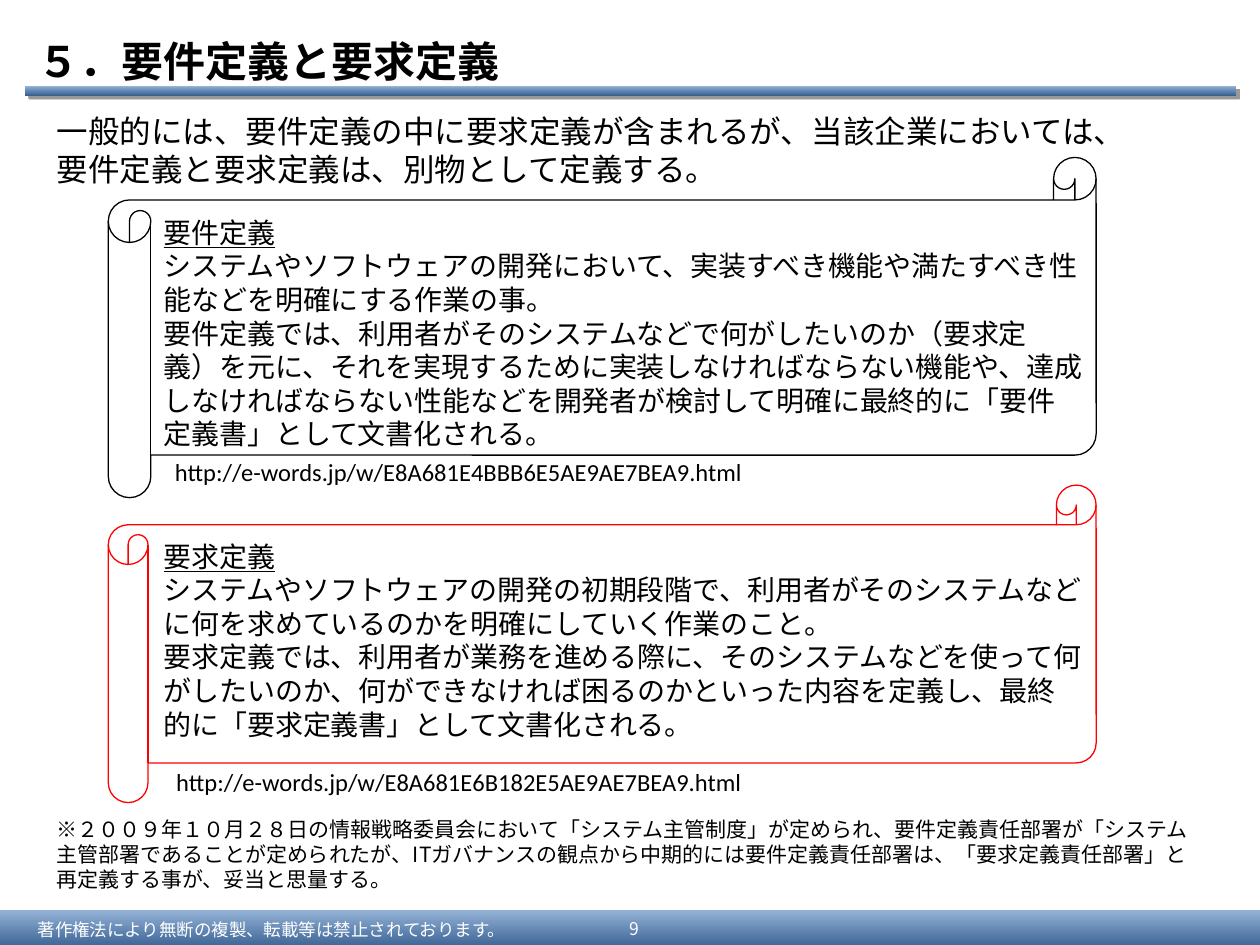
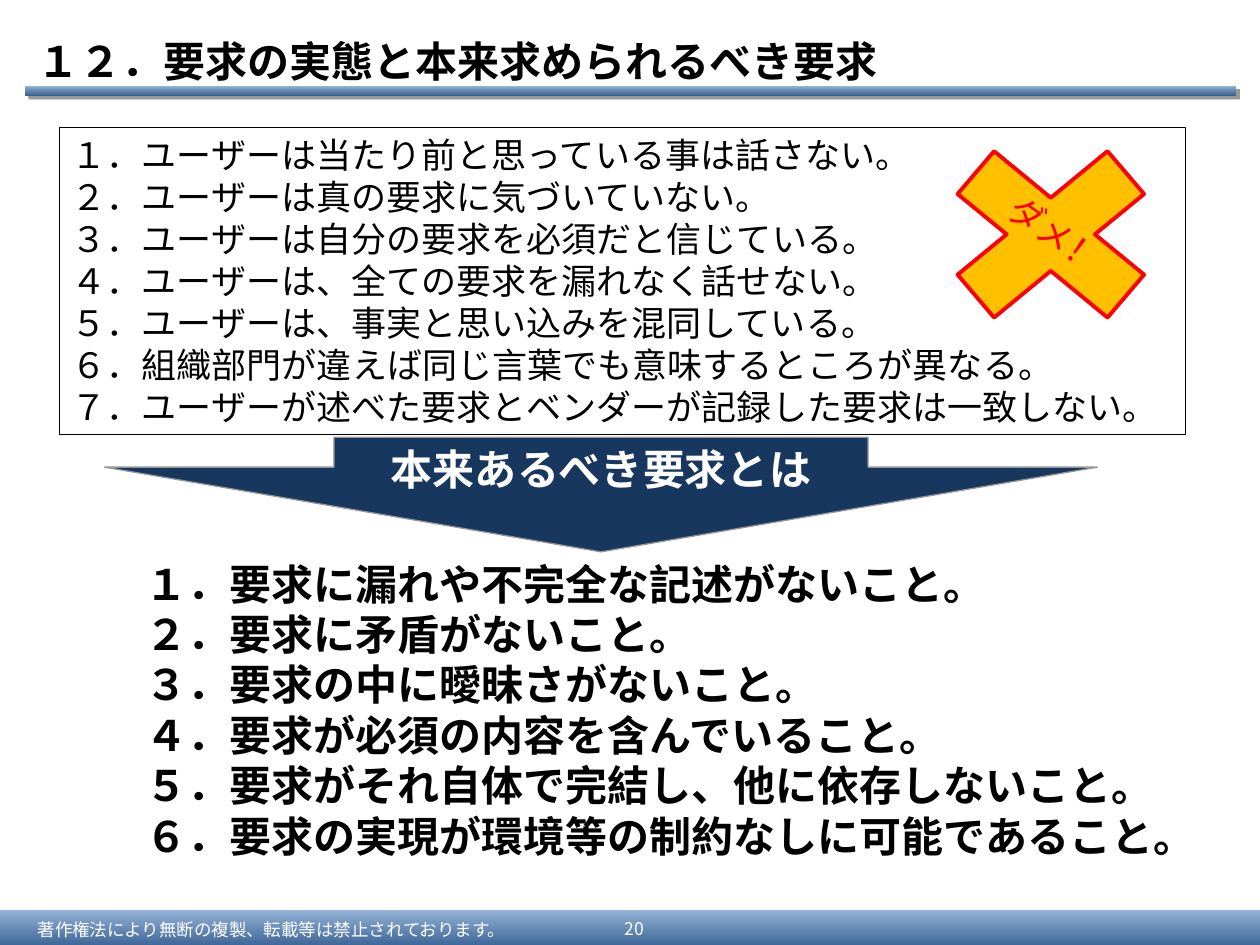
from dataclasses import dataclass

from lxml.etree import SubElement
from pptx import Presentation
from pptx.dml.color import RGBColor
from pptx.enum.shapes import MSO_SHAPE
from pptx.enum.text import MSO_ANCHOR, PP_ALIGN
from pptx.oxml.ns import qn
from pptx.shapes.autoshape import Shape
from pptx.slide import Slide
from pptx.util import Inches, Pt

COLORS = {
    "black": "000000", "white": "FFFFFF", "red": "FF0000", "amber": "FFC000",
    "navy": "17375E", "gray": "969696", "band_dark": "376092", "band_light": "95B3D7",
}
JP_FONT, LATIN_FONT = "Noto Sans CJK JP", "Calibri"
LINE_PITCH = 1.2
COPYRIGHT = "著作権法により無断の複製、転載等は禁止されております。"


@dataclass
class Box:
    left: float
    top: float
    width: float
    height: float

    def emu(self) -> list[int]:
        return [Inches(v) for v in (self.left, self.top, self.width, self.height)]


@dataclass
class Definition:
    scroll: Box
    color: str
    body: Box
    lines: list[str]
    link: Box
    url: str


DEFINITIONS = [
    Definition(
        Box(0.86, 1.25, 7.84, 2.7), "black", Box(1.2, 1.66, 7.5, 1.97),
        ["要件定義",
         "システムやソフトウェアの開発において、実装すべき機能や満たすべき性能などを明確にする作業の事。",
         "要件定義では、利用者がそのシステムなどで何がしたいのか（要求定義）を元に、それを実現するために"
         "実装しなければならない機能や、達成しなければならない性能などを開発者が検討して明確に最終的に"
         "「要件定義書」として文書化される。"],
        Box(1.29, 3.58, 6.7, 0.34), "http://e-words.jp/w/E8A681E4BBB6E5AE9AE7BEA9.html"),
    Definition(
        Box(0.86, 3.85, 7.84, 2.52), "red", Box(1.2, 4.23, 7.5, 1.97),
        ["要求定義",
         "システムやソフトウェアの開発の初期段階で、利用者がそのシステムなどに何を求めているのかを"
         "明確にしていく作業のこと。",
         "要求定義では、利用者が業務を進める際に、そのシステムなどを使って何がしたいのか、何ができなければ"
         "困るのかといった内容を定義し、最終的に「要求定義書」として文書化される。"],
        Box(1.3, 6.04, 6.35, 0.34), "http://e-words.jp/w/E8A681E6B182E5AE9AE7BEA9.html"),
]

USER_REALITIES = [
    "１．ユーザーは当たり前と思っている事は話さない。",
    "２．ユーザーは真の要求に気づいていない。",
    "３．ユーザーは自分の要求を必須だと信じている。",
    "４．ユーザーは、全ての要求を漏れなく話せない。",
    "５．ユーザーは、事実と思い込みを混同している。",
    "６．組織部門が違えば同じ言葉でも意味するところが異なる。",
    "７．ユーザーが述べた要求とベンダーが記録した要求は一致しない。",
]
IDEAL_REQUIREMENTS = [
    "１．要求に漏れや不完全な記述がないこと。",
    "２．要求に矛盾がないこと。",
    "３．要求の中に曖昧さがないこと。",
    "４．要求が必須の内容を含んでいること。",
    "５．要求がそれ自体で完結し、他に依存しないこと。",
    "６．要求の実現が環境等の制約なしに可能であること。",
]


def rgb(name: str) -> RGBColor:
    return RGBColor.from_string(COLORS[name])


def write(sp: Shape, lines: list[str], *, size: float, color: str = "black",
          font: str = JP_FONT, bold: bool = False, head_underline: bool = False,
          align: PP_ALIGN = PP_ALIGN.LEFT, anchor: MSO_ANCHOR = MSO_ANCHOR.TOP,
          inset_x: float = 0.1, inset_y: float = 0.05) -> None:
    tf = sp.text_frame
    tf.word_wrap = True
    tf.vertical_anchor = anchor
    tf.margin_left = tf.margin_right = Inches(inset_x)
    tf.margin_top = tf.margin_bottom = Inches(inset_y)
    for i, line in enumerate(lines):
        p = tf.paragraphs[0] if i == 0 else tf.add_paragraph()
        p.alignment = align
        if font == JP_FONT:
            p.line_spacing = Pt(size * LINE_PITCH)
        r = p.add_run()
        r.text = line
        r.font.size, r.font.bold, r.font.name = Pt(size), bold, font
        r.font.color.rgb = rgb(color)
        if head_underline and i == 0:
            r.font.underline = True
        SubElement(r._r.get_or_add_rPr(), qn("a:ea"), typeface=font)


def add_text(s: Slide, box: Box, lines: list[str], **style) -> Shape:
    sp = s.shapes.add_textbox(*box.emu())
    write(sp, lines, **style)
    return sp


def paint(sp: Shape, fill: str | None, line: str | None, weight: float = 0.75) -> None:
    sp.shadow.inherit = False
    if fill:
        sp.fill.solid()
        sp.fill.fore_color.rgb = rgb(fill)
    else:
        sp.fill.background()
    if line:
        sp.line.color.rgb = rgb(line)
        sp.line.width = Pt(weight)
    else:
        sp.line.fill.background()


def add_shape(s: Slide, kind: MSO_SHAPE, box: Box, fill: str | None = None,
              line: str | None = None) -> Shape:
    sp = s.shapes.add_shape(kind, *box.emu())
    paint(sp, fill, line)
    return sp


def add_band(s: Slide, box: Box) -> Shape:
    sp = add_shape(s, MSO_SHAPE.RECTANGLE, box)
    sp.fill.gradient()
    sp.fill.gradient_angle = 90
    for stop, name in zip(sp.fill.gradient_stops, ("band_dark", "band_light")):
        stop.color.rgb = rgb(name)
    return sp


def add_drop_shadow(sp: Shape) -> None:
    effects = sp._element.spPr.find(qn("a:effectLst"))
    shadow = SubElement(effects, qn("a:outerShdw"), dist=str(Pt(3)), dir="2700000",
                        algn="tl", rotWithShape="0")
    color = SubElement(shadow, qn("a:srgbClr"), val=COLORS["black"])
    SubElement(color, qn("a:alpha"), val="40000")


def add_page(prs: Presentation, title: str, number: int) -> Slide:
    s = prs.slides.add_slide(prs.slide_layouts[6])
    # Footer band and title rule
    add_band(s, Box(0, 7.22, 10, 0.31))
    add_drop_shadow(add_band(s, Box(0.2, 0.68, 9.61, 0.08)))
    # Footer text and title
    footer = dict(size=10, color="white", anchor=MSO_ANCHOR.MIDDLE, inset_y=0.04)
    add_text(s, Box(0.2, 7.25, 4.25, 0.25), [COPYRIGHT], **footer)
    add_text(s, Box(4.76, 7.23, 0.55, 0.28), [str(number)], align=PP_ALIGN.CENTER, **footer)
    add_text(s, Box(0.2, 0.21, 9.8, 0.54), [title], size=24, bold=True,
             anchor=MSO_ANCHOR.MIDDLE)
    return s


def add_cross(s: Slide, center_x: float, center_y: float) -> None:
    half = [(0, -0.29), (0.45, -0.66), (0.74, -0.32), (0.35, 0), (0.74, 0.32), (0.45, 0.66)]
    offsets = half + [(-x, -y) for x, y in half]
    points = [(Inches(center_x + x), Inches(center_y + y)) for x, y in offsets]
    outline = s.shapes.build_freeform(*points[0])
    outline.add_line_segments(points[1:], close=True)
    paint(outline.convert_to_shape(), "amber", "red", 2.25)


def build_definitions(prs: Presentation) -> None:
    s = add_page(prs, "５．要件定義と要求定義", 9)
    add_text(s, Box(0.35, 0.84, 9.29, 0.7),
             ["一般的には、要件定義の中に要求定義が含まれるが、当該企業においては、",
              "要件定義と要求定義は、別物として定義する。"], size=18)
    # Scrolls with their sources
    for d in DEFINITIONS:
        sp = add_shape(s, MSO_SHAPE.HORIZONTAL_SCROLL, d.scroll, line=d.color)
        sp.adjustments[0] = 0.125
        add_text(s, d.body, d.lines, size=16, head_underline=True)
        add_text(s, d.link, [d.url], size=14, font=LATIN_FONT)
    # Footnote
    add_text(s, Box(0.35, 6.43, 9.29, 0.7),
             ["※２００９年１０月２８日の情報戦略委員会において「システム主管制度」が定められ、"
              "要件定義責任部署が「システム主管部署であることが定められたが、ITガバナンスの観点から"
              "中期的には要件定義責任部署は、「要求定義責任部署」と再定義する事が、妥当と思量する。"],
             size=12)


def build_requirements(prs: Presentation) -> None:
    s = add_page(prs, "１２．要求の実態と本来求められるべき要求", 20)
    # Reality of user requests
    sp = add_shape(s, MSO_SHAPE.RECTANGLE, Box(0.47, 1.01, 8.94, 2.44), line="black")
    write(sp, USER_REALITIES, size=20)
    # Arrow to the ideal
    sp = add_shape(s, MSO_SHAPE.DOWN_ARROW, Box(0.83, 3.47, 7.88, 0.91), "navy", "gray")
    sp.adjustments[0], sp.adjustments[1] = 0.538, 0.739
    write(sp, ["本来あるべき要求とは"], size=24, color="white", bold=True,
          align=PP_ALIGN.CENTER, inset_x=0.05)
    add_text(s, Box(1.06, 4.38, 8.35, 2.5), IDEAL_REQUIREMENTS, size=24, bold=True)
    # Rejection mark
    add_cross(s, 8.34, 1.86)
    add_text(s, Box(7.86, 1.68, 1.14, 0.44), ["ダメ！"], size=20, color="red").rotation = 35.5


def main() -> None:
    prs = Presentation()
    prs.slide_width, prs.slide_height = Inches(10), Inches(7.5)
    build_definitions(prs)
    build_requirements(prs)
    prs.save("out.pptx")


if __name__ == "__main__":
    main()
